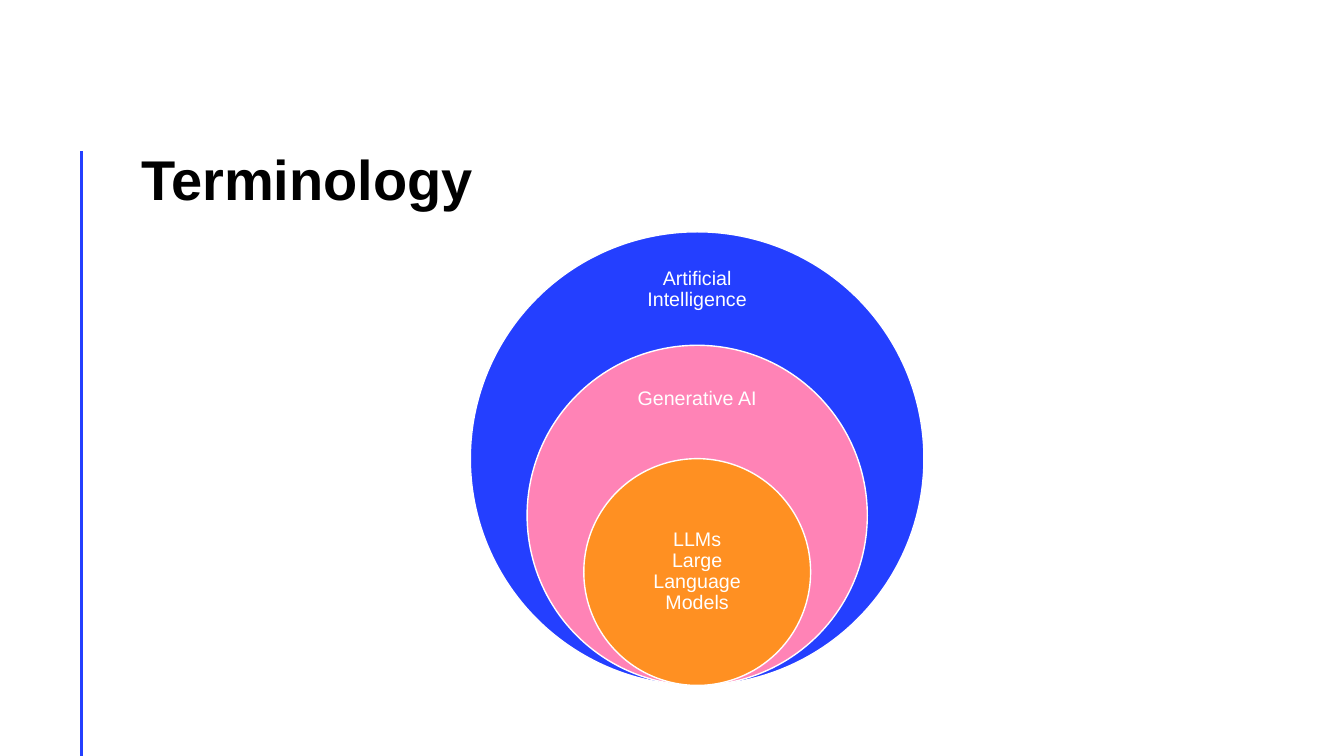
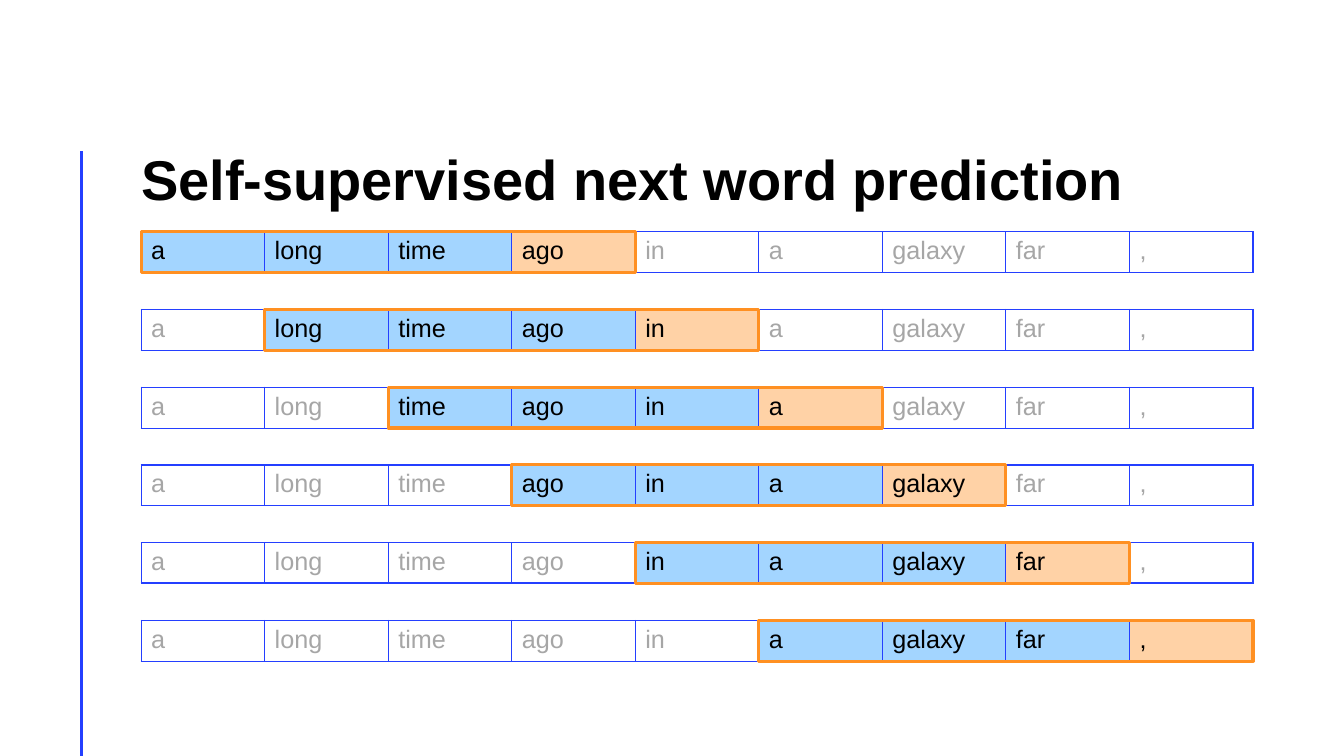
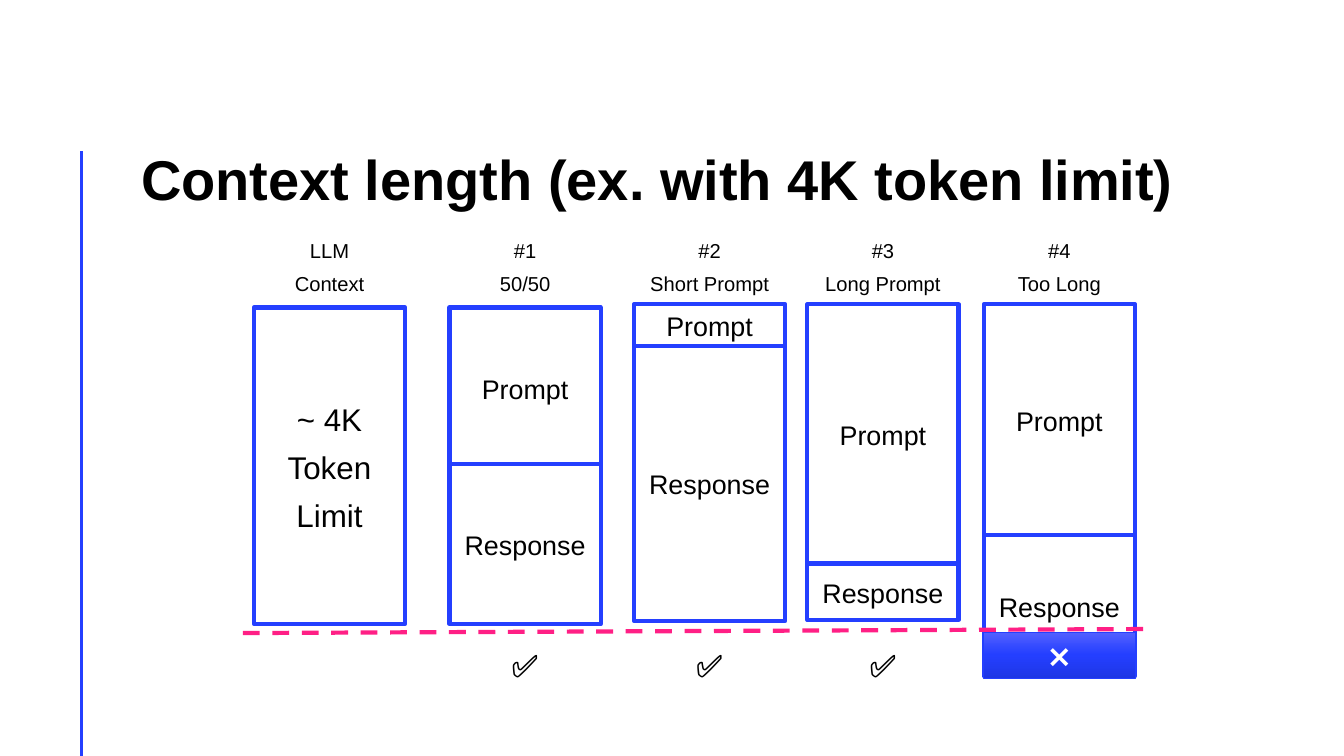
from lxml import etree
from pptx import Presentation
from pptx.dml.color import RGBColor
from pptx.enum import dml, shapes, text
from pptx.oxml import ns
from pptx.util import Pt

BLUE = RGBColor(0x24, 0x3F, 0xFF)
BLUE_LIGHT = RGBColor(0x53, 0x60, 0xFF)
BLUE_DARK = RGBColor(0x1E, 0x36, 0xE5)
SKY = RGBColor(0x1A, 0x98, 0xFF)
ORANGE = RGBColor(0xFF, 0x90, 0x22)
PINK = RGBColor(0xFF, 0x83, 0xB6)
MAGENTA = RGBColor(0xFF, 0x1F, 0x85)
GREY = RGBColor(0xA6, 0xA6, 0xA6)
BLACK = RGBColor(0, 0, 0)
WHITE = RGBColor(0xFF, 0xFF, 0xFF)

FONT = "Arial"
LEFT, TOP, WIDTH = 100.8, 165.6, 794.25

WORDS = ["a", "long", "time", "ago", "in", "a", "galaxy", "far", ","]
WORD_WIDTH = WIDTH / len(WORDS)
WINDOW = 4
SENTENCE_PITCH = 55.5
SENTENCE_HEIGHTS = [29.2, 29.2, 29.2, 29.2, 28, 29.2]

COLUMN_WIDTH = 108


def points(*lengths):
    return [Pt(length) for length in lengths]


def write(frame, content, size=18, color=BLACK, bold=False, align=None,
          spacing=None, after=None):
    """Fill a text frame, one paragraph for each line of content."""
    for number, line in enumerate(content.split("\n")):
        paragraph = frame.add_paragraph() if number else frame.paragraphs[0]
        paragraph.text = line
        paragraph.alignment = align
        paragraph.line_spacing = spacing
        paragraph.space_after = after
        font = paragraph.font
        font.name, font.size, font.bold = FONT, Pt(size), bold
        font.color.rgb = color


def add_label(slide, box, content, anchor=text.MSO_ANCHOR.TOP, margin=None, **style):
    frame = slide.shapes.add_textbox(*points(*box)).text_frame
    frame.word_wrap = True
    frame.vertical_anchor = anchor
    if margin is not None:
        frame.margin_left = frame.margin_right = Pt(margin)
        frame.margin_top = frame.margin_bottom = Pt(margin)
    write(frame, content, **style)


def add_outline(slide, kind, box, line, weight, fill=None):
    shape = slide.shapes.add_shape(kind, *points(*box))
    shape.shadow.inherit = False
    shape.line.color.rgb = line
    shape.line.width = Pt(weight)
    if fill is None:
        shape.fill.background()
    else:
        shape.fill.solid()
        shape.fill.fore_color.rgb = fill
    return shape


def add_line(slide, start, end, color, weight, dash=None):
    line = slide.shapes.add_connector(shapes.MSO_CONNECTOR.STRAIGHT,
                                      *points(*start, *end))
    line.line.color.rgb = color
    line.line.width = Pt(weight)
    if dash is not None:
        line.line.dash_style = dash
    etree.SubElement(line._element.spPr, ns.qn("a:effectLst"))


def add_color(parent, color):
    return etree.SubElement(parent, ns.qn("a:srgbClr"), val=str(color))


def set_gradient(shape, *colors):
    """Fill from top to bottom with evenly spaced colours."""
    shape.fill.gradient()
    shape.fill.gradient_angle = 270
    stops = shape._element.spPr.find(".//" + ns.qn("a:gsLst"))
    for stop in list(stops):
        stops.remove(stop)
    for number, color in enumerate(colors):
        position = 100000 * number // (len(colors) - 1)
        add_color(etree.SubElement(stops, ns.qn("a:gs"), pos=str(position)), color)


def set_borders(cell, color, weight):
    properties = cell._tc.get_or_add_tcPr()
    for side in ("lnL", "lnR", "lnT", "lnB"):
        border = etree.SubElement(properties, ns.qn("a:" + side), w=str(Pt(weight)))
        add_color(etree.SubElement(border, ns.qn("a:solidFill")), color)


def set_tint(cell, color):
    cell.fill.solid()
    cell.fill.fore_color.rgb = color
    tint = cell._tc.tcPr.find("./" + ns.qn("a:solidFill"))[0]
    etree.SubElement(tint, ns.qn("a:alpha"), val="40000")


def add_sentence(slide, start, height):
    """One row of words with the prediction window beginning at word start."""
    top = TOP + SENTENCE_PITCH * start
    table = slide.shapes.add_table(
        1, len(WORDS), *points(LEFT, top, WIDTH, height)).table
    table.first_row = table.horz_banding = False
    target = start + WINDOW - 1
    for number, word in enumerate(WORDS):
        table.columns[number].width = Pt(WORD_WIDTH)
        cell = table.cell(0, number)
        set_borders(cell, BLUE, 1)
        inside = start <= number <= target
        if inside:
            set_tint(cell, ORANGE if number == target else SKY)
        else:
            cell.fill.background()
        write(cell.text_frame, word, color=BLACK if inside else GREY)
    add_outline(slide, shapes.MSO_SHAPE.RECTANGLE,
                (LEFT + WORD_WIDTH * start, top, WORD_WIDTH * WINDOW, 29.2),
                ORANGE, 2.25)


def add_block(slide, box, content, size=19.2, color=BLACK, weight=3):
    block = add_outline(slide, shapes.MSO_SHAPE.RECTANGLE, box, BLUE, weight, WHITE)
    block.text_frame.word_wrap = True
    block.text_frame.vertical_anchor = text.MSO_ANCHOR.MIDDLE
    write(block.text_frame, content, size=size, color=color,
          align=text.PP_ALIGN.CENTER, spacing=1.05, after=Pt(6))
    return block


def add_slide(deck, title):
    slide = deck.slides.add_slide(deck.slide_layouts[6])
    add_line(slide, (58.3, 108), (58.3, 540), BLUE, 2)
    add_label(slide, (LEFT, 50.4, WIDTH, 100.8), title, margin=0,
              anchor=text.MSO_ANCHOR.BOTTOM, size=40, bold=True, spacing=Pt(40))
    return slide


def build_terminology(deck):
    slide = add_slide(deck, "Terminology")
    center, bottom = 498, TOP + 324
    for diameter, color, label_top, label_height, term in [
        (324, BLUE, 182.2, 49, "Artificial Intelligence"),
        (243, PINK, 262.1, 45.4, "Generative AI"),
        (162, ORANGE, 367.9, 80.6, "LLMs\vLarge Language Models"),
    ]:
        add_outline(slide, shapes.MSO_SHAPE.OVAL,
                    (center - diameter / 2, bottom - diameter, diameter, diameter),
                    WHITE, 1, color)
        add_label(slide, (center - 56.5, label_top, 113, label_height), term,
                  anchor=text.MSO_ANCHOR.MIDDLE, margin=7.9, size=14,
                  color=WHITE, align=text.PP_ALIGN.CENTER, spacing=0.9)


def build_prediction(deck):
    slide = add_slide(deck, "Self-supervised next word prediction")
    for start, height in enumerate(SENTENCE_HEIGHTS):
        add_sentence(slide, start, height)


def build_context(deck):
    slide = add_slide(deck, "Context length (ex. with 4K token limit)")
    centered = dict(align=text.PP_ALIGN.CENTER, spacing=1.05, after=Pt(6))

    add_block(slide, (181.4, 219.6, COLUMN_WIDTH, 226.1), "~ 4K\nToken\nLimit", size=22.4)
    add_label(slide, (181.4, TOP, COLUMN_WIDTH, 40.3), "LLM\nContext",
              size=14.4, **centered)

    cases = [
        (321.1, "#1\n50/50", (219.6, 114.5), (331.2, 114.5), True),
        (452.9, "#2\nShort Prompt", (217.4, 29.5), (247, 196.6), True),
        (576.7, "#3\nLong Prompt", (217.4, 185.8), (402.5, 40.3), True),
        (702.7, "#4\nToo Long", (217.4, 165.6), (382.3, 100.8), False),
    ]
    for left, heading, prompt, response, fits in cases:
        add_label(slide, (left, TOP, COLUMN_WIDTH, 40.3), heading,
                  size=14.4, **centered)
        for part, (top, height) in (("Prompt", prompt), ("Response", response)):
            add_block(slide, (left, top, COLUMN_WIDTH, height), part)
        if fits:
            add_label(slide, (left, 456.5, COLUMN_WIDTH, 33), "✅",
                      size=22.4, **centered)

    add_line(slide, (173.5, 452.2), (823, 449.3), MAGENTA, 3, dml.MSO_LINE.DASH)
    overflow = add_block(slide, (702.7, 451.4, COLUMN_WIDTH, 33.1), "❌",
                         size=22.4, color=WHITE, weight=0.5)
    set_gradient(overflow, BLUE_LIGHT, BLUE, BLUE_DARK)


def main():
    deck = Presentation()
    deck.slide_width, deck.slide_height = points(960, 540)
    build_terminology(deck)
    build_prediction(deck)
    build_context(deck)
    deck.save("out.pptx")


if __name__ == "__main__":
    main()
